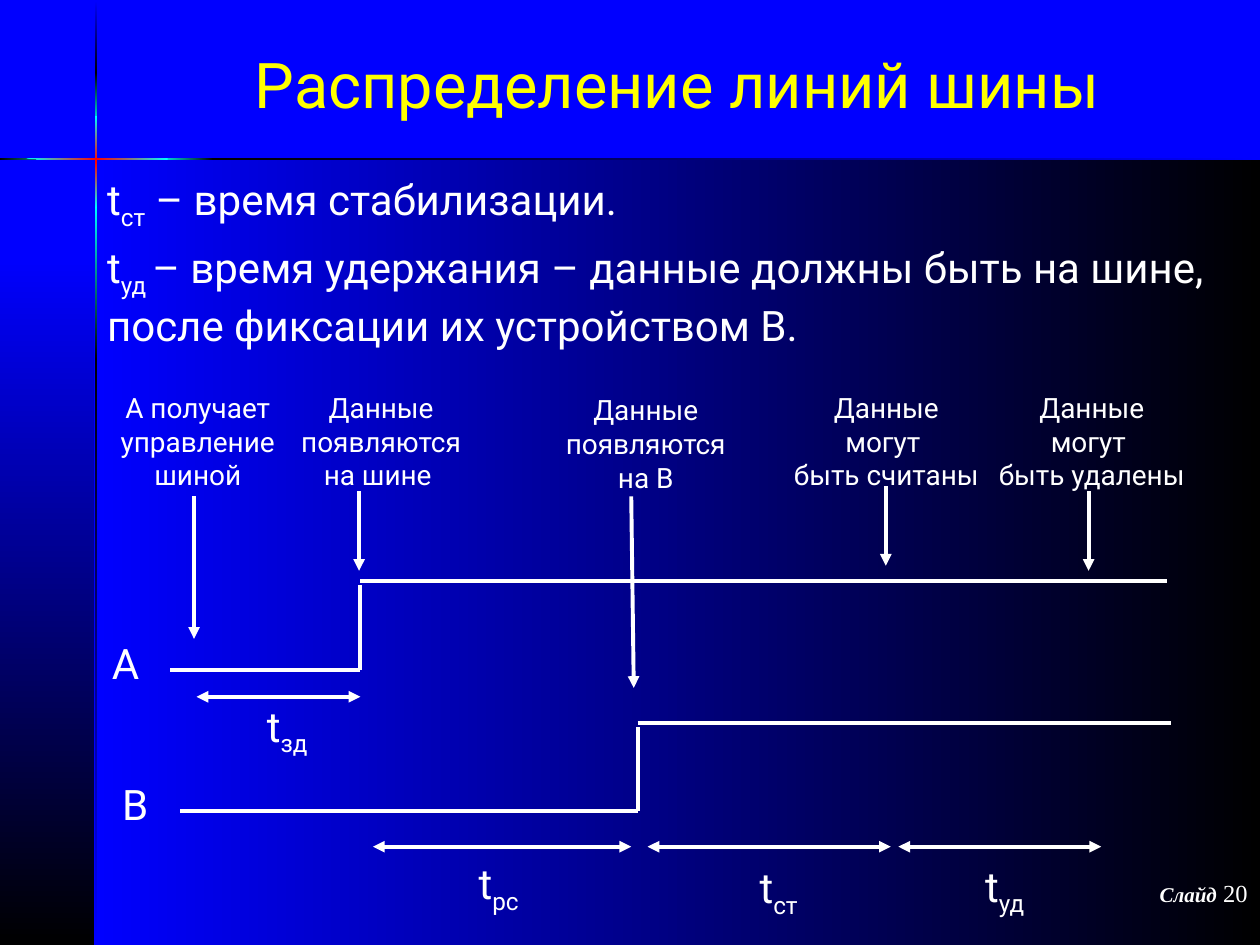
from copy import deepcopy
from dataclasses import dataclass

from lxml import etree
from pptx import Presentation
from pptx import util as u
from pptx.dml.color import RGBColor
from pptx.enum import shapes, text
from pptx.oxml.ns import qn


@dataclass(frozen=True)
class Theme:
    white: str = "FFFFFF"
    yellow: str = "FFFF00"
    blue: str = "0000FF"
    black: str = "000000"
    cyan: str = "00FFFF"
    red: str = "FF0000"
    font: str = "Roboto"
    footer_font: str = "Times New Roman"
    title: int = 36
    body: int = 24
    label: int = 16
    number: int = 14
    footer: int = 12
    line: float = 2.25


THEME = Theme()
COLUMNS, ROWS = 100, 75
SLIDE_WIDTH, SLIDE_HEIGHT = u.Inches(10), u.Inches(7.5)


@dataclass(frozen=True)
class Box:
    column: float
    row: float
    columns: float
    rows: float

    def inner(self, column, row, columns, rows):
        return Box(self.column + column, self.row + row, columns, rows)

    def point(self, column, row):
        return (
            round((self.column + column) * SLIDE_WIDTH / COLUMNS),
            round((self.row + row) * SLIDE_HEIGHT / ROWS),
        )

    def frame(self):
        left, top = self.point(0, 0)
        right, bottom = self.point(self.columns, self.rows)
        return left, top, right - left, bottom - top


def write(paragraph, content, size=THEME.body, color=THEME.white, font=THEME.font,
          bold=False, italic=False, align=text.PP_ALIGN.LEFT, before=0):
    paragraph.alignment = align
    paragraph.space_before = u.Pt(before)
    for index, part in enumerate(content.replace("]", "[").split("[")):
        if not part:
            continue
        run = paragraph.add_run()
        run.text = part
        run.font.size = u.Pt(size)
        run.font.name = font
        run.font.bold = bold
        run.font.italic = italic
        run.font.color.rgb = RGBColor.from_string(color)
        if index % 2:
            run._r.get_or_add_rPr().set("baseline", "-25000")


def write_lines(frame, lines, **style):
    for index, line in enumerate(lines):
        paragraph = frame.add_paragraph() if index else frame.paragraphs[0]
        write(paragraph, line, **style)


def add_label(slide, box, *lines, **style):
    frame = slide.shapes.add_textbox(*box.frame()).text_frame
    frame.word_wrap = False
    frame.auto_size = text.MSO_AUTO_SIZE.SHAPE_TO_FIT_TEXT
    write_lines(frame, lines, **style)


def add_line(slide, start, end, head=False, tail=False):
    connector = slide.shapes.add_connector(shapes.MSO_CONNECTOR.STRAIGHT, *start, *end)
    connector.line.color.rgb = RGBColor.from_string(THEME.white)
    connector.line.width = u.Pt(THEME.line)
    properties = connector._element.spPr
    outline = properties.find(qn("a:ln"))
    for name, wanted in (("a:headEnd", head), ("a:tailEnd", tail)):
        if wanted:
            etree.SubElement(outline, qn(name), type="triangle")
    etree.SubElement(properties, qn("a:effectLst"))


def paint_gradient(shape, colors, vertical):
    shape.shadow.inherit = False
    shape.line.fill.background()
    shape.fill.gradient()
    shape.fill.gradient_angle = 270 if vertical else 0
    stops = shape._element.spPr.find(qn("a:gradFill")).find(qn("a:gsLst"))
    for _ in colors[2:]:
        stops.append(deepcopy(stops[0]))
    for index, (stop, color) in enumerate(zip(shape.fill.gradient_stops, colors)):
        stop.position = index / (len(colors) - 1)
        stop.color.rgb = RGBColor.from_string(color)


def build_backdrop(slide, box):
    slide.slide_layout.background.fill.solid()
    slide.slide_layout.background.fill.fore_color.rgb = RGBColor.from_string(THEME.blue)
    blue, black, cyan, red = THEME.blue, THEME.black, THEME.cyan, THEME.red
    bands = [
        (7.5, 12.5, 92.5, 62.5, (blue, black), False),
        (0, 20.2, 7.5, 54.8, (blue, black), True),
        (7.5, 0.1, 0.2, 5.7, (blue, black), True),
        (7.5, 28.2, 0.2, 46.8, (black, blue), True),
        (7.5, 16.3, 0.2, 12.2, (cyan, black), True),
        (7.5, 5.8, 0.2, 4.4, (black, cyan), True),
        (7.5, 9.2, 0.2, 7.3, (cyan, red, cyan), True),
        (0, 12.5, 6.1, 0.2, (black, cyan), False),
        (16.7, 12.5, 83.3, 0.2, (black, blue), False),
        (12.5, 12.5, 4.4, 0.2, (cyan, black), False),
    ]
    parts = []
    for *place, colors, vertical in bands:
        band = slide.shapes.add_shape(
            shapes.MSO_SHAPE.RECTANGLE, *box.inner(*place).frame())
        paint_gradient(band, colors, vertical)
        parts.append(band)

    outline = [(2.1, 12.6), (6, 12.7), (13.3, 12.7), (13.3, 12.5), (6, 12.5)]
    points = [box.point(*corner) for corner in outline]
    builder = slide.shapes.build_freeform(*points[0])
    builder.add_line_segments(points[1:], close=True)
    flare = builder.convert_to_shape()
    paint_gradient(flare, (cyan, red, cyan), False)
    for part in parts + [flare]:
        slide.slide_layout.shapes._spTree.append(part._element)


def fill_placeholder(placeholder, box, lines, **style):
    placeholder.left, placeholder.top, placeholder.width, placeholder.height = box.frame()
    frame = placeholder.text_frame
    frame.auto_size = text.MSO_AUTO_SIZE.NONE
    write_lines(frame, lines, **style)
    return frame


def build_title(slide, box):
    frame = fill_placeholder(
        slide.shapes.title, box, ["Распределение линий шины"],
        size=THEME.title, color=THEME.yellow, align=text.PP_ALIGN.CENTER)
    frame.vertical_anchor = text.MSO_ANCHOR.MIDDLE


def build_definitions(slide, box):
    frame = fill_placeholder(slide.placeholders[1], box, [
        "t[ст] – время стабилизации.",
        "t[уд ]– время удержания – данные должны быть на шине, "
        "после фиксации их устройством В.",
    ], before=6)
    for paragraph in frame.paragraphs:
        properties = paragraph._p.get_or_add_pPr()
        properties.set("marL", "0")
        properties.set("indent", "0")
        etree.SubElement(properties, qn("a:buNone"))


def build_signal(slide, box, name, start, edge, end, low, high):
    gap = 0.3
    add_label(slide, box.inner(start - 5.6, low - 3.1, 4.1, 5), name)
    add_line(slide, box.point(start, low), box.point(edge, low))
    add_line(slide, box.point(edge, low), box.point(edge, high + gap))
    add_line(slide, box.point(edge, high), box.point(end, high))


def build_diagram(slide, box):
    build_signal(slide, box, "А", 6, 21.1, 85.1, 23.2, 16.1)
    build_signal(slide, box, "В", 6.8, 43.1, 85.4, 34.4, 27.4)

    events = [
        (("А получает", "управление", "шиной"), (0.7, 0.5, 15), (7.9, 9.4), (7.9, 20.7)),
        (("Данные", "появляются", "на шине "), (15.3, 0.5, 14.9), (21, 9), (21, 15.3)),
        (("Данные", "появляются", "на В"), (36.3, 0.7, 14.9), (42.6, 9.4), (42.8, 24.6)),
        (("Данные", "могут ", "быть считаны"), (54.2, 0.5, 17.3), (62.8, 8.6), (62.8, 14.9)),
        (("Данные", "могут ", "быть удалены"), (70.5, 0.5, 17.3), (81.4 - 2.5, 9), (78.9, 15.3)),
    ]
    for lines, place, start, end in events:
        add_label(slide, box.inner(*place, 9), *lines,
                  size=THEME.label, align=text.PP_ALIGN.CENTER)
        add_line(slide, box.point(*start), box.point(*end), tail=True)

    intervals = [
        ("t[зд]", 8.1, 21.1, 25.3, (12.7, 25.1, 5.3)),
        ("t[рс]", 22.1, 42.6, 37.2, (29.5, 37.6, 5.3)),
        ("t[ст]", 43.9, 63.2, 37.2, (51.8, 37.9, 5)),
        ("t[уд]", 63.8, 79.9, 37.2, (69.7, 37.8, 5.3)),
    ]
    for name, start, end, row, place in intervals:
        add_line(slide, box.point(start, row), box.point(end, row), head=True, tail=True)
        add_label(slide, box.inner(*place, 5.6), name)


def build_footer(slide, box):
    frame = slide.shapes.add_textbox(*box.frame()).text_frame
    frame.word_wrap = True
    style = dict(font=THEME.footer_font, align=text.PP_ALIGN.RIGHT)
    write(frame.paragraphs[0], "Слайд", size=THEME.footer, bold=True, italic=True, **style)
    write(frame.paragraphs[0], " 20", size=THEME.number, **style)


def main():
    presentation = Presentation()
    presentation.slide_width, presentation.slide_height = SLIDE_WIDTH, SLIDE_HEIGHT
    slide = presentation.slides.add_slide(presentation.slide_layouts[1])
    build_backdrop(slide, Box(0, 0, COLUMNS, ROWS))
    build_footer(slide, Box(79.2, 69.2, 20.8, 5))
    build_title(slide, Box(7.5, 0.8, 92.5, 11.7))
    build_definitions(slide, Box(7.5, 13.3, 90.1, 59.6))
    build_diagram(slide, Box(7.5, 30, 92.5, 45))
    presentation.save("out.pptx")


if __name__ == "__main__":
    main()
